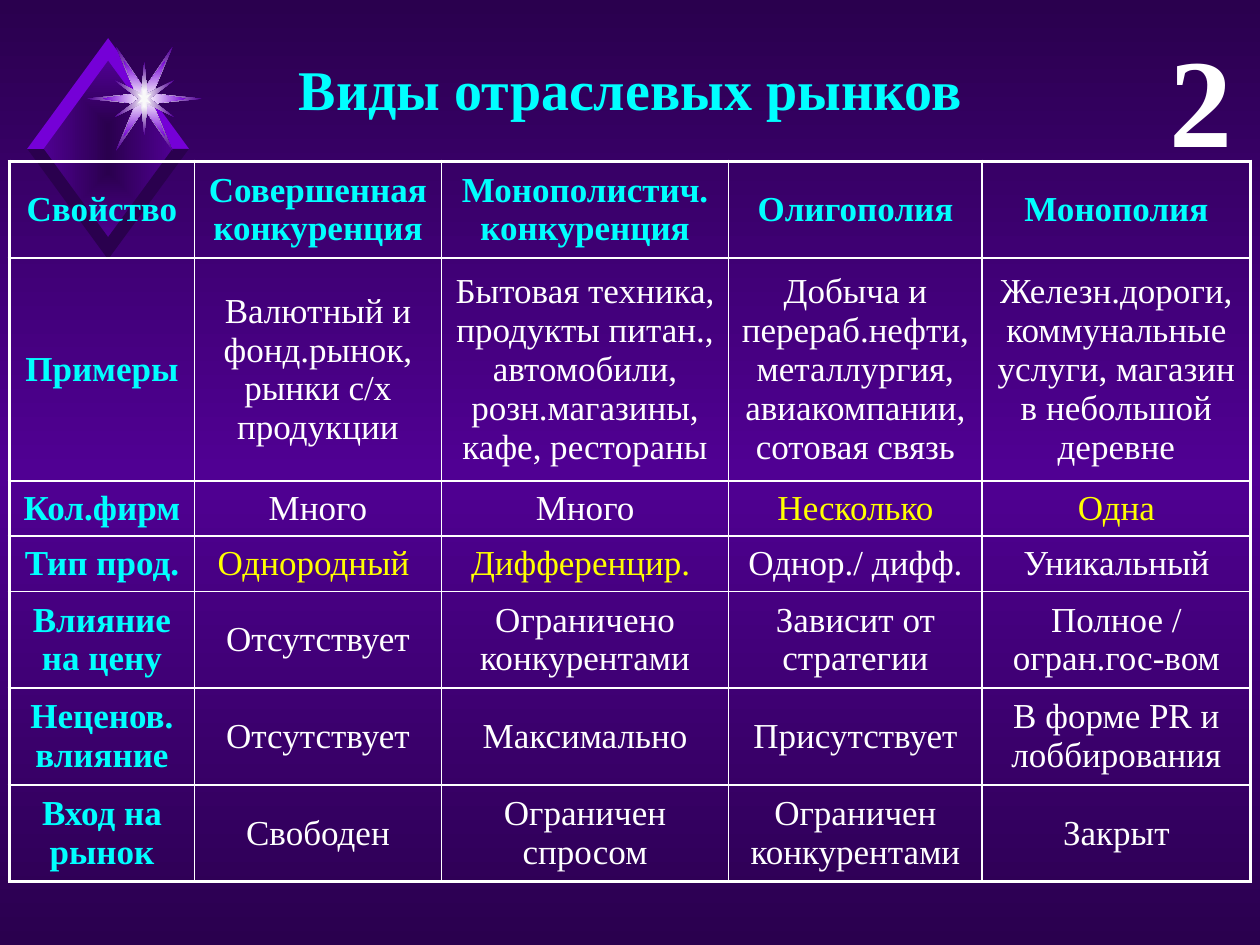
"""Build the slide comparing the kinds of industry markets."""
from dataclasses import dataclass
from typing import Any, Optional

from lxml import etree
from pptx import Presentation
from pptx import util as u
from pptx.dml.color import RGBColor
from pptx.enum import text
from pptx.oxml.ns import qn

NIGHT = RGBColor(0x2A, 0x00, 0x4E)
PURPLE = RGBColor(0x50, 0x00, 0x93)
VIOLET = RGBColor(0x75, 0x00, 0xD7)
CYAN = RGBColor(0x00, 0xFF, 0xFF)
YELLOW = RGBColor(0xFF, 0xFF, 0x00)
WHITE = RGBColor(0xFF, 0xFF, 0xFF)
PALE = RGBColor(0xF9, 0xF9, 0xF9)

Point = tuple[float, float]
CORNERS = ((1, -1), (1, 1), (-1, 1), (-1, -1))


@dataclass(frozen=True)
class Star:
    quadrant: tuple[Point, ...]
    colors: tuple[RGBColor, ...]


@dataclass(frozen=True)
class Label:
    words: str
    left: float
    top: float
    width: float
    height: float
    size: int
    color: RGBColor
    align: Any


DIAMOND_CENTER = (2.18, 3.0)
DIAMOND = ((0, 1.8), (1.32, 0))
BAND = ((0, 1.78), (0, 2.23), (1.63, 0), (1.3, 0))
STAR_CENTER = (2.91, 1.99)
STARS = (
    Star(((0, 0.2), (0.57, 1.05), (0.17, 0.1), (1.16, 0)), (WHITE, PURPLE)),
    Star(((0, 0.2), (0.42, 0.77), (0.17, 0.1), (0.84, 0)), (WHITE, VIOLET)),
    Star(((0, 0.74), (0.06, 0.1), (0.6, 0.37), (0.11, 0)), (WHITE, PURPLE)),
    Star(((0, 0.19), (0.03, 0.06), (0.14, 0.1), (0.05, 0)), (PALE,)),
)
LABELS = (
    Label("Виды отраслевых рынков", 0.5, 0.97, 24.43, 1.62, 32, CYAN, text.PP_ALIGN.CENTER),
    Label("2", 21.92, 0.3, 3.18, 3.33, 72, WHITE, text.PP_ALIGN.RIGHT),
)
COLUMN_WIDTHS = (3.73, 4.98, 5.79, 5.11, 5.41)
ROW_HEIGHTS = (1.95, 4.5, 1.11, 1.11, 1.95, 1.95, 1.95)
ROWS = (
    ("Свойство", "Совершенная конкуренция", "Монополистич. конкуренция",
     "Олигополия", "Монополия"),
    ("Примеры", "Валютный и фонд.рынок, рынки с/х продукции",
     "Бытовая техника, продукты питан., автомобили, розн.магазины, кафе, рестораны",
     "Добыча и перераб.нефти, металлургия, авиакомпании, сотовая связь",
     "Железн.дороги, коммунальные услуги, магазин в небольшой деревне"),
    ("Кол.фирм", "Много", "Много", "Несколько", "Одна"),
    ("Тип прод.", "Однородный ", "Дифференцир. ", "Однор./ дифф.", "Уникальный"),
    ("Влияние на цену", "Отсутствует", "Ограничено конкурентами",
     "Зависит от стратегии", "Полное / огран.гос-вом"),
    ("Неценов.влияние", "Отсутствует", "Максимально", "Присутствует",
     "В форме PR и лоббирования"),
    ("Вход на рынок", "Свободен", "Ограничен спросом",
     "Ограничен конкурентами", "Закрыт"),
)
HIGHLIGHTED = {(2, 3), (2, 4), (3, 1), (3, 2)}


def shade(fill: Any, holder: Any, colors: tuple[RGBColor, ...], angle: Optional[int] = None) -> None:
    """Apply evenly spaced colours, linear at an angle or outward from the centre."""
    fill.gradient()
    gradient = holder.find(".//" + qn("a:gradFill"))
    gradient.clear()
    gradient.set("rotWithShape", "1")
    stops = etree.SubElement(gradient, qn("a:gsLst"))
    for index, color in enumerate(colors):
        stop = etree.SubElement(stops, qn("a:gs"), pos=str(100000 * index // (len(colors) - 1)))
        etree.SubElement(stop, qn("a:srgbClr"), val=str(color))
    if angle is not None:
        etree.SubElement(gradient, qn("a:lin"), ang=str(angle * 60000), scaled="0")
        return
    course = etree.SubElement(gradient, qn("a:path"), path="rect")
    etree.SubElement(course, qn("a:fillToRect"), {side: "50000" for side in "ltrb"})


def mirror(quadrant: tuple[Point, ...]) -> list[Point]:
    """Extend a top-to-right quadrant to a full symmetric outline."""
    outline: list[Point] = []
    for across, down in CORNERS:
        points = quadrant if across * down < 0 else quadrant[::-1]
        outline += [(x * across, y * down) for x, y in points][:-1]
    return outline


def draw_outline(shapes: Any, center: Point, outline: list[Point], colors: tuple[RGBColor, ...]) -> None:
    """Draw a closed polygon given by offsets from its centre."""
    points = [(u.Cm(center[0] + x), u.Cm(center[1] + y)) for x, y in outline]
    builder = shapes.build_freeform(*points[0], scale=1.0)
    builder.add_line_segments(points[1:], close=True)
    shape = builder.convert_to_shape()
    shape.shadow.inherit = False
    shape.line.fill.background()
    if len(colors) > 1:
        shade(shape.fill, shape._element, colors)
    else:
        shape.fill.solid()
        shape.fill.fore_color.rgb = colors[0]


def draw_emblem(page: Any) -> None:
    """Draw the framed diamond with its layered star."""
    shapes = page.shapes.add_group_shape().shapes
    draw_outline(shapes, DIAMOND_CENTER, mirror(DIAMOND), (NIGHT, PURPLE))
    for across, down in CORNERS:
        band = [(x * across, y * down) for x, y in BAND]
        draw_outline(shapes, DIAMOND_CENTER, band, (VIOLET if down < 0 else NIGHT,))
    for star in STARS:
        draw_outline(shapes, STAR_CENTER, mirror(star.quadrant), star.colors)


def write(frame: Any, words: str, size: int, color: RGBColor, bold: bool, align: Any) -> None:
    """Write one formatted paragraph."""
    para = frame.paragraphs[0]
    para.alignment = align
    span = para.add_run()
    span.text = words
    formats = {"name": "Times New Roman", "size": u.Pt(size), "bold": bold}
    for name, value in formats.items():
        setattr(span.font, name, value)
    span.font.color.rgb = color


def draw_label(page: Any, label: Label) -> None:
    """Draw a bold text box."""
    box = page.shapes.add_textbox(*map(u.Cm, (label.left, label.top, label.width, label.height)))
    box.text_frame.word_wrap = True
    write(box.text_frame, label.words, label.size, label.color, True, label.align)


def draw_borders(cell: Any, outer: dict[str, bool]) -> None:
    """Give a cell white borders, heavier on the table's edge."""
    properties = cell._tc.get_or_add_tcPr()
    for index, (side, heavy) in enumerate(outer.items()):
        line = etree.Element(qn("a:ln" + side), w=str(u.Pt(2.25 if heavy else 1)))
        solid = etree.SubElement(line, qn("a:solidFill"))
        etree.SubElement(solid, qn("a:srgbClr"), val=str(WHITE))
        properties.insert(index, line)


def draw_table(page: Any) -> None:
    """Draw the market comparison table."""
    last_row, last_column = len(ROWS) - 1, len(COLUMN_WIDTHS) - 1
    table = page.shapes.add_table(
        len(ROWS), len(COLUMN_WIDTHS), u.Cm(0.19), u.Cm(3.25),
        u.Cm(sum(COLUMN_WIDTHS)), u.Cm(sum(ROW_HEIGHTS))).table
    table.first_row = table.horz_banding = False
    for column, width in zip(table.columns, COLUMN_WIDTHS):
        column.width = u.Cm(width)
    for r, (row, height) in enumerate(zip(table.rows, ROW_HEIGHTS)):
        row.height = u.Cm(height)
        for c, cell in enumerate(row.cells):
            heading = r == 0 or c == 0
            color = CYAN if heading else YELLOW if (r, c) in HIGHLIGHTED else WHITE
            cell.fill.background()
            cell.vertical_anchor = text.MSO_ANCHOR.MIDDLE
            write(cell.text_frame, ROWS[r][c], 20, color, heading, text.PP_ALIGN.CENTER)
            draw_borders(cell, {"L": c == 0, "R": c == last_column,
                                "T": r == 0, "B": r == last_row})


def main() -> None:
    """Assemble and save the deck."""
    deck = Presentation()
    deck.slide_width, deck.slide_height = u.Cm(25.4), u.Cm(19.05)
    page = deck.slides.add_slide(deck.slide_layouts[6])
    shade(page.background.fill, page._element, (NIGHT, PURPLE, NIGHT), 90)
    draw_emblem(page)
    for label in LABELS:
        draw_label(page, label)
    draw_table(page)
    deck.save("out.pptx")


main()
